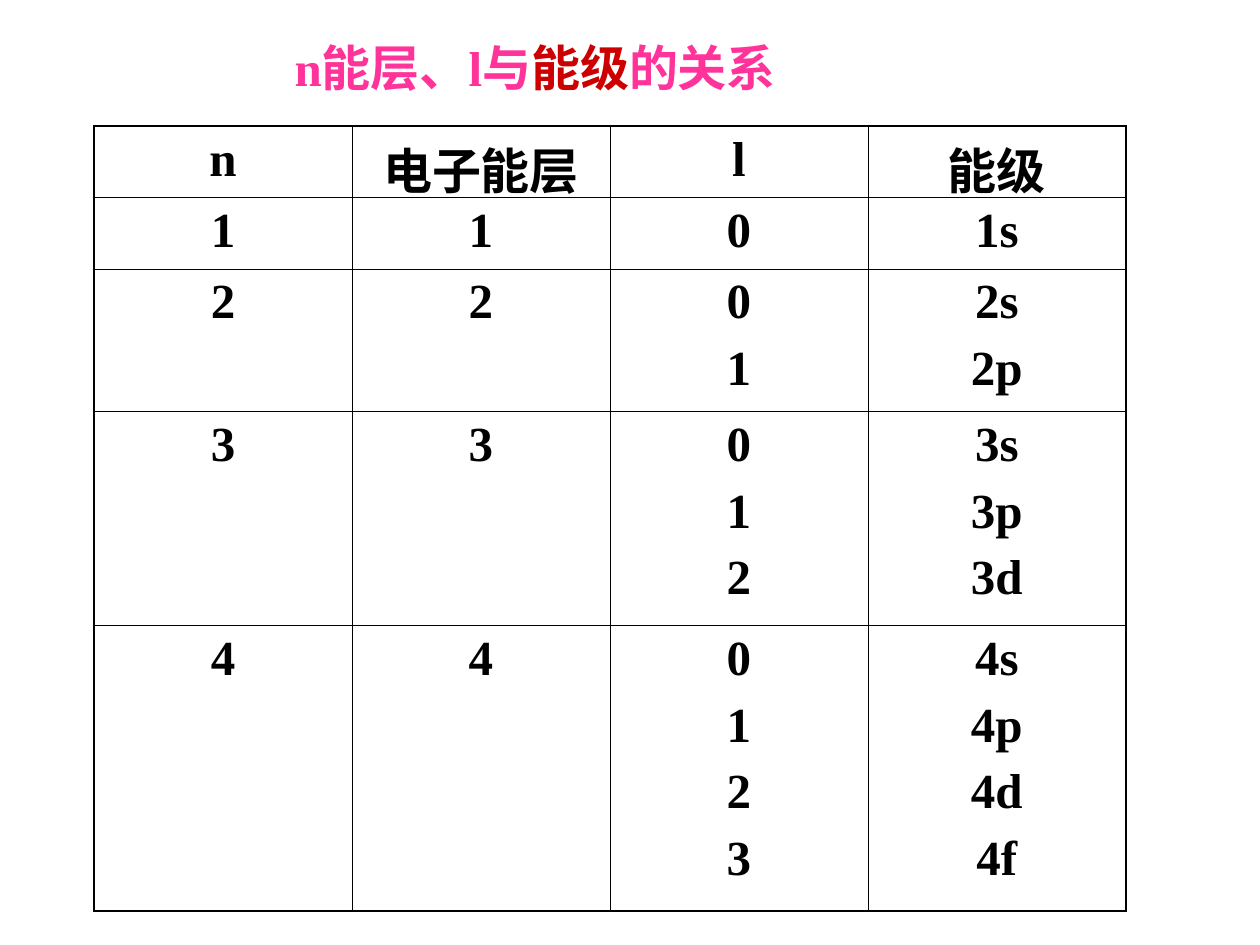
from lxml import etree
from pptx import Presentation
from pptx.dml.color import RGBColor
from pptx.enum.lang import MSO_LANGUAGE_ID
from pptx.enum.text import MSO_ANCHOR, MSO_AUTO_SIZE, PP_ALIGN
from pptx.oxml.ns import qn
from pptx.util import Emu, Pt

LEFT, CENTER = PP_ALIGN.LEFT, PP_ALIGN.CENTER
TOP = MSO_ANCHOR.TOP
GROW = MSO_AUTO_SIZE.SHAPE_TO_FIT_TEXT
CHINESE = MSO_LANGUAGE_ID.SIMPLIFIED_CHINESE
TITLE_ONLY = 5

THEME = {
    "font": "Times New Roman", "size": 28,
    "text": "000000", "title": "FF3399", "accent": "CC0000", "line": "000000",
    "outer_line": 1.08, "inner_line": 0.45, "space_before": 7,
}

TITLE = [("n能层、l与", "title"), ("能级", "accent"), ("的关系", "title")]
HEADER = ["n", "电子能层", "l", "能级"]
SUBSHELLS = {1: "s", 2: "sp", 3: "spd", 4: "spdf"}

# Lengths in px
SLIDE_W, SLIDE_H = 1260, 945
TITLE_BOX = (282, 31, 566, 72)
TABLE_X, TABLE_Y, COLUMN_W, TABLE_H = 94, 126, 258, 785


def px(length):
    return Emu(round(length * 914400 / 126))


def write(frame, paragraphs, align=LEFT, space_before=0):
    """Fill a frame with paragraphs, each a list of (text, theme colour) runs."""
    for index, runs in enumerate(paragraphs):
        paragraph = frame.add_paragraph() if index else frame.paragraphs[0]
        paragraph.alignment = align
        paragraph.space_before = Pt(space_before if index else 0)
        for text, colour in runs:
            run = paragraph.add_run()
            run.text = text
            font = run.font
            font.name, font.size, font.bold = THEME["font"], Pt(THEME["size"]), True
            font.language_id = CHINESE
            font.color.rgb = RGBColor.from_string(THEME[colour])


def set_borders(cell, outer_sides):
    """Rule all four sides, heavier on those at the table's edge."""
    properties = cell._tc.get_or_add_tcPr()
    for index, side in enumerate("LRTB"):
        weight = THEME["outer_line" if side in outer_sides else "inner_line"]
        line = etree.Element(qn(f"a:ln{side}"), w=str(Pt(weight)))
        fill = etree.SubElement(line, qn("a:solidFill"))
        etree.SubElement(fill, qn("a:srgbClr"), val=THEME["line"])
        properties.insert(index, line)


def add_title(slide):
    title = slide.shapes.title
    title.left, title.top, title.width, title.height = map(px, TITLE_BOX)
    frame = title.text_frame
    frame.word_wrap, frame.auto_size, frame.vertical_anchor = True, GROW, TOP
    write(frame, [TITLE])


def add_level_table(slide):
    rows = [[[heading] for heading in HEADER]]
    for shell, letters in SUBSHELLS.items():
        rows.append([
            [str(shell)],
            [str(shell)],
            [str(l) for l in range(len(letters))],
            [f"{shell}{letter}" for letter in letters],
        ])
    line_counts = [len(row[-1]) for row in rows]
    last_row, last_column = len(rows) - 1, len(HEADER) - 1

    table = slide.shapes.add_table(
        len(rows), len(HEADER), px(TABLE_X), px(TABLE_Y),
        px(COLUMN_W * len(HEADER)), px(TABLE_H)).table
    table.first_row = table.horz_banding = False
    for column in table.columns:
        column.width = px(COLUMN_W)
    for r, row in enumerate(rows):
        table.rows[r].height = px(TABLE_H * line_counts[r] / sum(line_counts))
        for c, lines in enumerate(row):
            cell = table.cell(r, c)
            cell.fill.background()
            edges = {"L": c == 0, "R": c == last_column,
                     "T": r == 0, "B": r == last_row}
            set_borders(cell, [side for side, outer in edges.items() if outer])
            write(cell.text_frame, [[(line, "text")] for line in lines],
                  align=CENTER, space_before=THEME["space_before"])


def main():
    deck = Presentation()
    deck.slide_width, deck.slide_height = px(SLIDE_W), px(SLIDE_H)
    slide = deck.slides.add_slide(deck.slide_layouts[TITLE_ONLY])
    add_level_table(slide)
    add_title(slide)
    deck.save("out.pptx")


if __name__ == "__main__":
    main()
